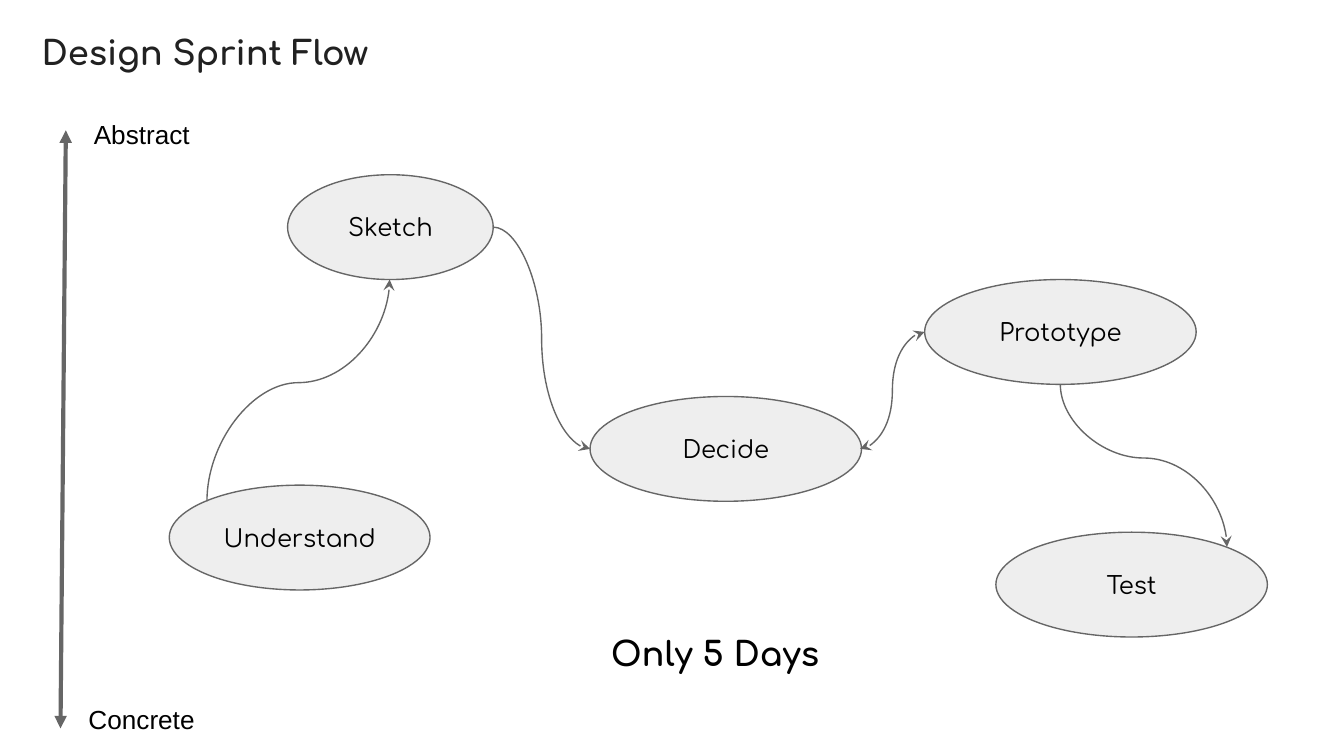
from lxml import etree
from pptx import Presentation
from pptx.dml.color import RGBColor
from pptx.enum.shapes import MSO_CONNECTOR as LINK, MSO_SHAPE as SHAPE
from pptx.enum.text import MSO_ANCHOR as ANCHOR, MSO_AUTO_SIZE as FIT, PP_ALIGN as ALIGN
from pptx.oxml.ns import qn
from pptx.util import Inches, Pt

COLORS = {"ink": "000000", "title": "212121", "line": "666666", "oval": "EEEEEE", "paper": "FFFFFF"}
BODY = {"name": "Comfortaa", "size": Pt(13), "bold": False}
HEADING = {"name": "Comfortaa", "size": Pt(18), "bold": True}
AXIS_LABEL = {"name": "Arial", "size": Pt(14), "bold": False}


def write(shape, text, font, align=ALIGN.CENTER, anchor=ANCHOR.MIDDLE, color="ink"):
    frame = shape.text_frame
    frame.text = text
    layout = {"word_wrap": True, "auto_size": FIT.NONE, "vertical_anchor": anchor}
    layout.update({f"margin_{side}": Inches(0.1) for side in ("left", "top", "right", "bottom")})
    for name, value in layout.items():
        setattr(frame, name, value)
    paragraph = frame.paragraphs[0]
    paragraph.alignment = align
    run_font = paragraph.runs[0].font
    for name, value in font.items():
        setattr(run_font, name, value)
    run_font.color.rgb = RGBColor.from_string(COLORS[color])


def connect(kind, start, end, width, head, tail):
    link = slide.shapes.add_connector(kind, *map(Inches, (*start, *end)))
    link.line.color.rgb = RGBColor.from_string(COLORS["line"])
    link.line.width = Pt(width)
    outline = link.line._get_or_add_ln()
    for tag, arrow in (("a:headEnd", head), ("a:tailEnd", tail)):
        if arrow:
            etree.SubElement(outline, qn(tag), type=arrow, w="med", len="med")
    etree.SubElement(link._element.spPr, qn("a:effectLst"))
    return link


deck = Presentation()
deck.slide_width = Inches(10)
deck.slide_height = Inches(10) * 9 // 16
slide = deck.slides.add_slide(deck.slide_layouts[5])

title = slide.shapes.title
for name, value in {"left": 0.21, "top": 0.14, "width": 2.78, "height": 0.73}.items():
    setattr(title, name, Inches(value))
write(title, "Design Sprint Flow", HEADING, ALIGN.LEFT, ANCHOR.TOP, "title")

ovals = [
    ("Decide", 4.39, 2.95, 2.02, BODY),
    ("Prototype", 6.88, 2.08, 2.02, BODY),
    ("Sketch", 2.14, 1.3, 1.53, BODY),
    ("Understand", 1.26, 3.61, 1.94, BODY),
    ("Test", 7.41, 3.96, 2.02, BODY),
    ("Only 5 Days", 3.62, 4.47, 3.4, HEADING),
]
for label, left, top, width, font in ovals:
    oval = slide.shapes.add_shape(SHAPE.OVAL, *map(Inches, (left, top, width, 0.78)))
    oval.shadow.inherit = False
    oval.fill.solid()
    if font is HEADING:
        oval.fill.fore_color.rgb = RGBColor.from_string(COLORS["paper"])
        oval.line.fill.background()
    else:
        oval.fill.fore_color.rgb = RGBColor.from_string(COLORS["oval"])
        oval.line.color.rgb = RGBColor.from_string(COLORS["line"])
        oval.line.width = Pt(0.75)
    write(oval, label, font)

connect(LINK.CURVE, (6.88, 2.47), (6.4, 3.34), 0.75, "stealth", "stealth")
connect(LINK.CURVE, (3.67, 1.69), (4.39, 3.34), 0.75, None, "stealth")

vertical_curves = [
    ((1.54, 3.73), (2.9, 2.08), 53500),
    ((7.89, 2.86), (9.13, 4.07), 45300),
]
for start, end, bend in vertical_curves:
    mid_x, mid_y = (start[0] + end[0]) / 2, (start[1] + end[1]) / 2
    turned = [(mid_x - (y - mid_y), mid_y + (x - mid_x)) for x, y in (start, end)]
    curve = connect(LINK.CURVE, *turned, 0.75, None, "stealth")
    curve._element.spPr.find(qn("a:xfrm")).set("rot", str(270 * 60000))
    guides = curve._element.spPr.find(qn("a:prstGeom")).find(qn("a:avLst"))
    etree.SubElement(guides, qn("a:gd"), name="adj1", fmla=f"val {bend}")

connect(LINK.STRAIGHT, (0.49, 0.97), (0.45, 5.42), 2.25, "triangle", "triangle")
for label, left, top, width in (("Abstract", 0.6, 0.82, 0.97), ("Concrete", 0.56, 5.17, 1.04)):
    axis_end = slide.shapes.add_textbox(*map(Inches, (left, top, width, 0.36)))
    write(axis_end, label, AXIS_LABEL, ALIGN.LEFT)

deck.save("out.pptx")
